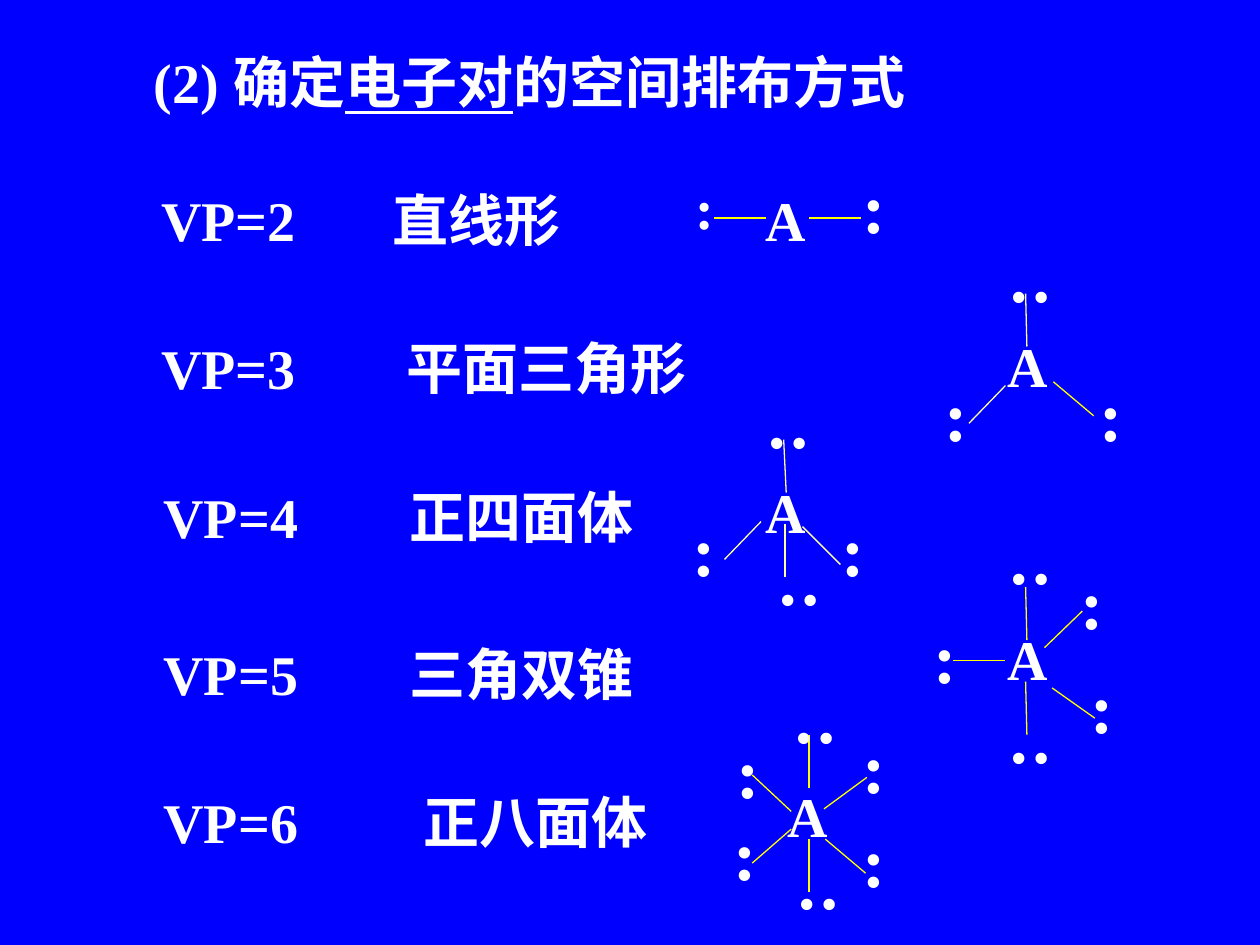
from dataclasses import dataclass, field

from lxml.etree import SubElement
from pptx import Presentation
from pptx.dml.color import RGBColor
from pptx.enum.shapes import MSO_CONNECTOR as Connector
from pptx.enum.text import MSO_ANCHOR as Anchor, MSO_AUTO_SIZE as AutoSize, PP_ALIGN as Align
from pptx.oxml.ns import qn
from pptx.util import Inches, Pt

BLUE, WHITE, YELLOW, PALE = "0000FF", "FFFFFF", "FFFF00", "FFFF99"
FONT = "Times New Roman"

TITLE_RUNS = [("(2) 确定", False), ("电子对", True), ("的空间排布方式", False)]

# label, geometry, left, top, width, tab position
ROWS = [
    ("VP=2", "直线形", 1.18, 1.42, 3.38, 1.84),
    ("VP=3", "平面三角形", 1.18, 2.6, 4.38, 1.95),
    ("VP=4", "正四面体", 1.2, 3.78, 3.93, 1.95),
    ("VP=5", "三角双锥", 1.2, 5.03, 3.93, 1.95),
    ("VP=6", "正八面体", 1.2, 6.2, 4.04, 2.06),
]


@dataclass
class Molecule:
    atom: tuple
    bonds: list
    upright_pairs: list
    level_pairs: list = field(default_factory=list)
    small_pairs: list = field(default_factory=list)
    pale_bonds: list = field(default_factory=list)


MOLECULES = [
    Molecule(
        atom=(5.98, 1.42),
        bonds=[(5.67, 1.73, 6.08, 1.73), (6.42, 1.73, 6.83, 1.73)],
        upright_pairs=[(6.75, 1.25)],
        small_pairs=[(5.42, 1.33)],
    ),
    Molecule(
        atom=(7.9, 2.58),
        bonds=[(8.36, 3.03, 8.68, 3.3)],
        pale_bonds=[(8.14, 2.33, 8.15, 2.75), (7.69, 3.36, 7.98, 3.06)],
        upright_pairs=[(7.4, 2.9), (8.63, 2.9)],
        level_pairs=[(7.79, 2.17)],
    ),
    Molecule(
        atom=(5.98, 3.74),
        bonds=[],
        pale_bonds=[(5.75, 4.44, 6.04, 4.14), (6.23, 4.58, 6.23, 4.16),
                    (6.37, 4.18, 6.67, 4.48), (6.22, 3.49, 6.24, 3.91)],
        upright_pairs=[(5.4, 3.97), (6.58, 3.97)],
        level_pairs=[(5.87, 3.33), (5.96, 4.58)],
    ),
    Molecule(
        atom=(7.9, 4.91),
        bonds=[(8.14, 5.41, 8.15, 5.83), (8.35, 5.46, 8.69, 5.7),
               (8.29, 5.14, 8.59, 4.85), (8.14, 4.66, 8.15, 5.08),
               (7.56, 5.24, 7.98, 5.24)],
        upright_pairs=[(7.31, 4.82), (8.48, 4.39), (8.56, 5.22)],
        level_pairs=[(7.79, 4.41), (7.79, 5.83)],
    ),
    Molecule(
        atom=(6.15, 6.15),
        bonds=[(6.55, 6.66, 6.87, 6.93), (5.97, 6.85, 6.28, 6.58),
               (6.54, 6.42, 6.88, 6.17), (5.97, 6.15, 6.28, 6.44),
               (6.42, 7.08, 6.42, 6.66), (6.42, 6.25, 6.42, 5.83)],
        upright_pairs=[(5.72, 6.38), (5.75, 5.73), (6.75, 6.44), (6.75, 5.69)],
        level_pairs=[(6.09, 5.67), (6.11, 6.99)],
    ),
]


def color(value):
    return RGBColor.from_string(value)


def add_run(paragraph, text, size=32, underline=False):
    run = paragraph.add_run()
    run.text = text
    font = run.font
    font.name, font.size, font.bold = FONT, Pt(size), True
    font.underline = underline
    font.color.rgb = color(WHITE)


def prepare_frame(shape, side=0.1, end=0.05):
    frame = shape.text_frame
    frame.word_wrap = False
    frame.auto_size = AutoSize.SHAPE_TO_FIT_TEXT
    frame.vertical_anchor = Anchor.TOP
    frame.margin_left = frame.margin_right = Inches(side)
    frame.margin_top = frame.margin_bottom = Inches(end)
    paragraph = frame.paragraphs[0]
    paragraph.alignment = Align.LEFT
    return paragraph


def add_title(slide):
    title = slide.shapes.title
    title.left, title.top = Inches(1.12), Inches(0.33)
    title.width, title.height = Inches(6.27), Inches(0.64)
    paragraph = prepare_frame(title)
    for text, underline in TITLE_RUNS:
        add_run(paragraph, text, underline=underline)


def add_text(slide, text, left, top, width, height=0.64, size=32):
    box = slide.shapes.add_textbox(Inches(left), Inches(top), Inches(width), Inches(height))
    add_run(prepare_frame(box), text, size)
    return box


def add_row(slide, label, geometry, left, top, width, tab):
    box = slide.shapes.add_textbox(Inches(left), Inches(top), Inches(width), Inches(0.64))
    paragraph = prepare_frame(box)
    properties = paragraph._p.get_or_add_pPr()
    tabs = SubElement(properties, qn("a:tabLst"))
    SubElement(tabs, qn("a:tab"), pos=str(Inches(tab)), algn="l")
    add_run(paragraph, f"{label}\t")
    add_run(paragraph, geometry)


def add_level_pair(slide, left, top):
    box = slide.shapes.add_textbox(Inches(left), Inches(top), Inches(0.86), Inches(0.29))
    add_run(prepare_frame(box, side=0.05, end=0.1), ":", 40)
    box.text_frame._txBody.bodyPr.set("vert", "eaVert")


def add_bond(slide, ends, line_color):
    bond = slide.shapes.add_connector(Connector.STRAIGHT, *map(Inches, ends))
    bond.line.color.rgb = color(line_color)
    bond.line.width = Pt(0.75)
    SubElement(bond._element.spPr, qn("a:effectLst"))


def add_molecule(slide, molecule):
    add_text(slide, "A", *molecule.atom, 0.52)
    for ends in molecule.bonds:
        add_bond(slide, ends, YELLOW)
    for ends in molecule.pale_bonds:
        add_bond(slide, ends, PALE)
    for position in molecule.small_pairs:
        add_text(slide, ":", *position, 0.35)
    for position in molecule.upright_pairs:
        add_text(slide, ":", *position, 0.38, 0.77, 40)
    for position in molecule.level_pairs:
        add_level_pair(slide, *position)


def main():
    presentation = Presentation()
    presentation.slide_width, presentation.slide_height = Inches(10), Inches(7.5)
    slide = presentation.slides.add_slide(presentation.slide_layouts[5])
    fill = slide.background.fill
    fill.solid()
    fill.fore_color.rgb = color(BLUE)
    add_title(slide)
    for row in ROWS:
        add_row(slide, *row)
    for molecule in MOLECULES:
        add_molecule(slide, molecule)
    presentation.save("out.pptx")


if __name__ == "__main__":
    main()
